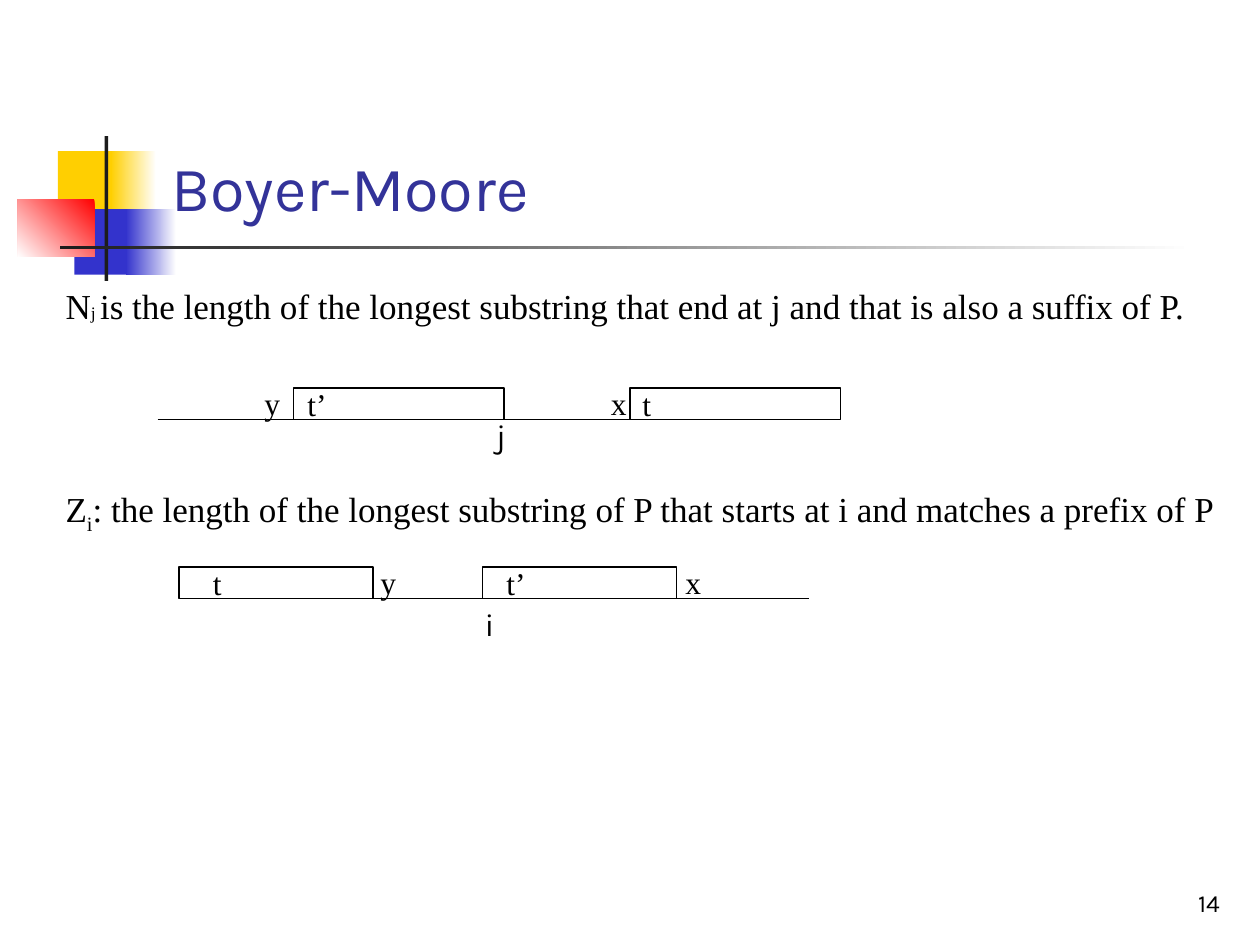
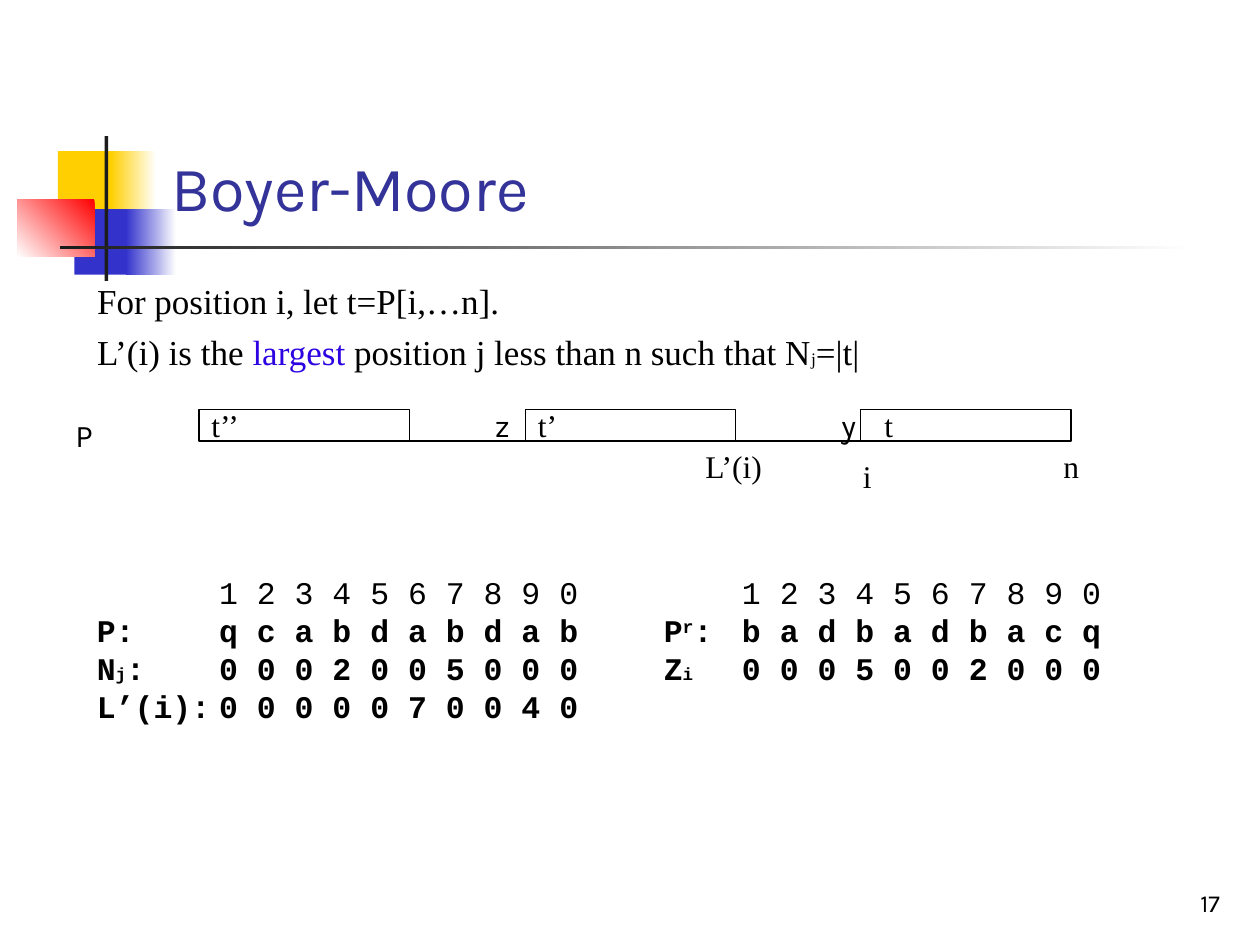
from dataclasses import dataclass

from lxml.etree import SubElement
from pptx import Presentation
from pptx.dml.color import RGBColor
from pptx.enum.shapes import MSO_CONNECTOR, MSO_SHAPE
from pptx.enum.text import MSO_ANCHOR, MSO_AUTO_SIZE, PP_ALIGN
from pptx.oxml.ns import qn
from pptx.util import Inches, Pt


@dataclass(frozen=True)
class Theme:
    title: str = "333399"
    text: str = "000000"
    accent: str = "2D03E1"
    white: str = "FFFFFF"
    yellow: str = "FFCF01"
    blue: str = "3333CC"
    red: str = "FF0000"
    dark: str = "1C1C1C"
    sans: str = "Karla"
    serif: str = "Times New Roman"
    mono: str = "Courier New"
    title_pt: int = 36
    body_pt: int = 20
    label_pt: int = 18
    number_pt: int = 14
    small_pt: int = 10
    line_pt: float = 0.75
    leading: float = 1.2


T = Theme()

# Shared content: left, top, width, height, fill colours, gradient angle
TITLE = "Boyer-Moore"
TITLE_AT = (1.26, 0.23, 8.52, 1.6)
NUMBER_AT = (7.7, 6.83, 2.08, 0.5)
DECORATION = [
    ((0.46, 1.2, 0.48, 0.52), (T.yellow,), 0),
    ((0.88, 1.2, 0.36, 0.52), (T.white, T.yellow), 180),
    ((0.59, 1.66, 0.46, 0.52), (T.blue,), 0),
    ((1, 1.66, 0.4, 0.52), (T.white, T.blue), 180),
    ((0.14, 1.58, 0.61, 0.46), (T.red, T.white), 225),
    ((0.83, 1.08, 0.03, 1.15), (T.dark,), 0),
    ((0.48, 1.95, 9, 0.03), (T.white, T.dark), 180),
]

# Slide content. A run is (text, style); a body paragraph is (space before, runs).
# A string has a top edge, a baseline from x1 to x2, and a box width;
# its boxes are (left, text, text inset), its labels (left, top, width, text, font).
SLIDES = [
    {
        "number": "14",
        "body_at": (0.42, 2.21, 9.38, 4.5),
        "body": [
            (0, [("N", ""), ("j ", "small"),
                 ("is the length of the longest substring that end at j "
                  "and that is also a suffix of P.", "")]),
            (95, [("Z", ""), ("i", "sub"),
                  (": the length of the longest substring of P that starts at i "
                   "and matches a prefix of P", "")]),
        ],
        "strings": [
            {"top": 3.08, "line": (1.25, 6.67), "box_width": 1.67,
             "boxes": [(2.33, "t’", 0.11), (5, "t", 0.1)],
             "labels": [(2, 3, 0.32, "y", T.serif), (4.75, 3, 0.32, "x", T.serif),
                        (3.84, 3.25, 0.26, "j", T.sans)]},
            {"top": 4.5, "line": (1.42, 6.42), "box_width": 1.54,
             "boxes": [(1.42, "t", 0.27), (3.83, "t’", 0.19)],
             "labels": [(2.92, 4.42, 0.32, "y", T.serif), (5.34, 4.42, 0.32, "x", T.serif),
                        (3.75, 4.75, 0.26, "i", T.sans)]},
        ],
    },
    {
        "number": "17",
        "body_at": (0.67, 2.17, 9.13, 4.5),
        "body": [
            (0, [("For position i, let t=P[i,…n].", "")]),
            (5, [("L’(i) is the ", ""), ("largest", "accent"),
                 (" position j less than n such that N", ""), ("j", "small"),
                 ("=|t|", "")]),
        ],
        "strings": [
            {"top": 3.25, "line": (1.58, 8.5), "box_width": 1.67,
             "boxes": [(1.58, "t’’", 0.1), (4.17, "t’", 0.1), (6.83, "t", 0.19)],
             "labels": [(0.5, 3.25, 0.42, "P", T.sans), (3.83, 3.17, 0.31, "z", T.sans),
                        (6.58, 3.17, 0.33, "y", T.sans), (5.5, 3.5, 0.67, "L’(i)", T.serif),
                        (6.75, 3.58, 0.27, "i", T.serif), (8.34, 3.5, 0.32, "n", T.serif)]},
        ],
        "example_at": (0.67, 4.5, 8.75, 1.9),
        "example_tabs": (0.97, 4.5, 5.12),
        "example": [
            [("\t1 2 3 4 5 6 7 8 9 0\t\t1 2 3 4 5 6 7 8 9 0", "")],
            [("P:\tq c a b d a b d a b\tP", "bold"), ("r", "bold super"),
             (":\tb a d b a d b a c q", "bold")],
            [("N", "bold"), ("j", "bold small"), (":\t0 0 0 2 0 0 5 0 0 0\tZ", "bold"),
             ("i", "bold small"), ("\t0 0 0 5 0 0 2 0 0 0", "bold")],
            [("L’(i):\t0 0 0 0 0 7 0 0 4 0", "bold")],
        ],
    },
]


def rgb(value):
    return RGBColor.from_string(value)


def inches(values):
    return [Inches(v) for v in values]


def place(shape, at):
    shape.left, shape.top, shape.width, shape.height = inches(at)


def set_font(font, name, size, color=T.text):
    font.name, font.size = name, Pt(size)
    font.color.rgb = rgb(color)


def add_runs(p, runs, name, size):
    """Write styled runs with a fixed line pitch."""
    p.line_spacing = Pt(size * T.leading)
    for text, style in runs:
        r = p.add_run()
        r.text = text
        set_font(r.font, name, T.small_pt if "small" in style else size,
                 T.accent if "accent" in style else T.text)
        r.font.bold = "bold" in style
        for mark, offset in (("sub", "-25000"), ("super", "30000")):
            if mark in style:
                r._r.get_or_add_rPr().set("baseline", offset)


def add_paragraphs(tf, count):
    return [tf.paragraphs[0]] + [tf.add_paragraph() for _ in range(count - 1)]


def add_text(slide, at, text, name, size, wrap=False):
    s = slide.shapes.add_textbox(*inches(at))
    tf = s.text_frame
    tf.word_wrap = wrap
    tf.text = text
    set_font(tf.paragraphs[0].runs[0].font, name, size)
    return tf


def decorate(layout, slide):
    """Draw the coloured blocks and rules, then move them to the layout."""
    for at, colors, angle in DECORATION:
        s = slide.shapes.add_shape(MSO_SHAPE.RECTANGLE, *inches(at))
        s.shadow.inherit = False
        s.line.fill.background()
        if len(colors) == 1:
            s.fill.solid()
            s.fill.fore_color.rgb = rgb(colors[0])
        else:
            s.fill.gradient()
            s.fill.gradient_angle = angle
            for stop, color in zip(s.fill.gradient_stops, colors):
                stop.color.rgb = rgb(color)
        layout.shapes.element.append(s.element)


def add_title(slide):
    s = slide.shapes.title
    place(s, TITLE_AT)
    tf = s.text_frame
    tf.text = TITLE
    tf.auto_size = MSO_AUTO_SIZE.NONE
    tf.vertical_anchor = MSO_ANCHOR.BOTTOM
    p = tf.paragraphs[0]
    p.alignment = PP_ALIGN.LEFT
    set_font(p.runs[0].font, T.sans, T.title_pt, T.title)


def add_body(slide, at, paragraphs):
    s = slide.placeholders[1]
    place(s, at)
    tf = s.text_frame
    tf.auto_size = MSO_AUTO_SIZE.NONE
    for p, (before, runs) in zip(add_paragraphs(tf, len(paragraphs)), paragraphs):
        SubElement(p._p.get_or_add_pPr(), qn("a:buNone"))
        p.space_before = Pt(before)
        add_runs(p, runs, T.serif, T.body_pt)


def add_string(slide, top, line, box_width, boxes, labels):
    """Draw a string as a baseline with matching substrings boxed on it."""
    height = 0.25
    x1, x2 = inches(line)
    y = Inches(top + height)
    c = slide.shapes.add_connector(MSO_CONNECTOR.STRAIGHT, x1, y, x2, y)
    SubElement(c._element.spPr, qn("a:effectLst"))
    outlines = [c.line]
    for left, text, inset in boxes:
        s = slide.shapes.add_shape(MSO_SHAPE.FLOWCHART_PROCESS,
                                   *inches((left, top, box_width, height)))
        s.shadow.inherit = False
        s.fill.background()
        outlines.append(s.line)
        tf = s.text_frame
        tf.text = text
        tf.margin_left = Inches(inset)
        tf.margin_top = tf.margin_bottom = 0
        tf.vertical_anchor = MSO_ANCHOR.MIDDLE
        p = tf.paragraphs[0]
        p.alignment = PP_ALIGN.LEFT
        set_font(p.runs[0].font, T.serif, T.label_pt)
    for outline in outlines:
        outline.color.rgb = rgb(T.text)
        outline.width = Pt(T.line_pt)
    for left, label_top, width, text, name in labels:
        add_text(slide, (left, label_top, width, 0.4), text, name, T.label_pt)


def add_example(slide, at, tabs, rows):
    """Set the worked example in columns at the tab stops."""
    tf = slide.shapes.add_textbox(*inches(at)).text_frame
    tf.word_wrap = True
    for p, runs in zip(add_paragraphs(tf, len(rows)), rows):
        tab_list = SubElement(p._p.get_or_add_pPr(), qn("a:tabLst"))
        for pos in tabs:
            SubElement(tab_list, qn("a:tab"), pos=str(Inches(pos)), algn="l")
        add_runs(p, runs, T.mono, T.label_pt)


def add_number(slide, number):
    tf = add_text(slide, NUMBER_AT, number, T.sans, T.number_pt, wrap=True)
    tf.vertical_anchor = MSO_ANCHOR.BOTTOM
    tf.paragraphs[0].alignment = PP_ALIGN.RIGHT


def main():
    prs = Presentation()
    prs.slide_width, prs.slide_height = Inches(10), Inches(7.5)
    layout = prs.slide_layouts[1]
    for i, content in enumerate(SLIDES):
        slide = prs.slides.add_slide(layout)
        if i == 0:
            decorate(layout, slide)
        add_title(slide)
        add_body(slide, content["body_at"], content["body"])
        for string in content["strings"]:
            add_string(slide, **string)
        if "example" in content:
            add_example(slide, content["example_at"], content["example_tabs"],
                        content["example"])
        add_number(slide, content["number"])
    prs.save("out.pptx")


if __name__ == "__main__":
    main()
